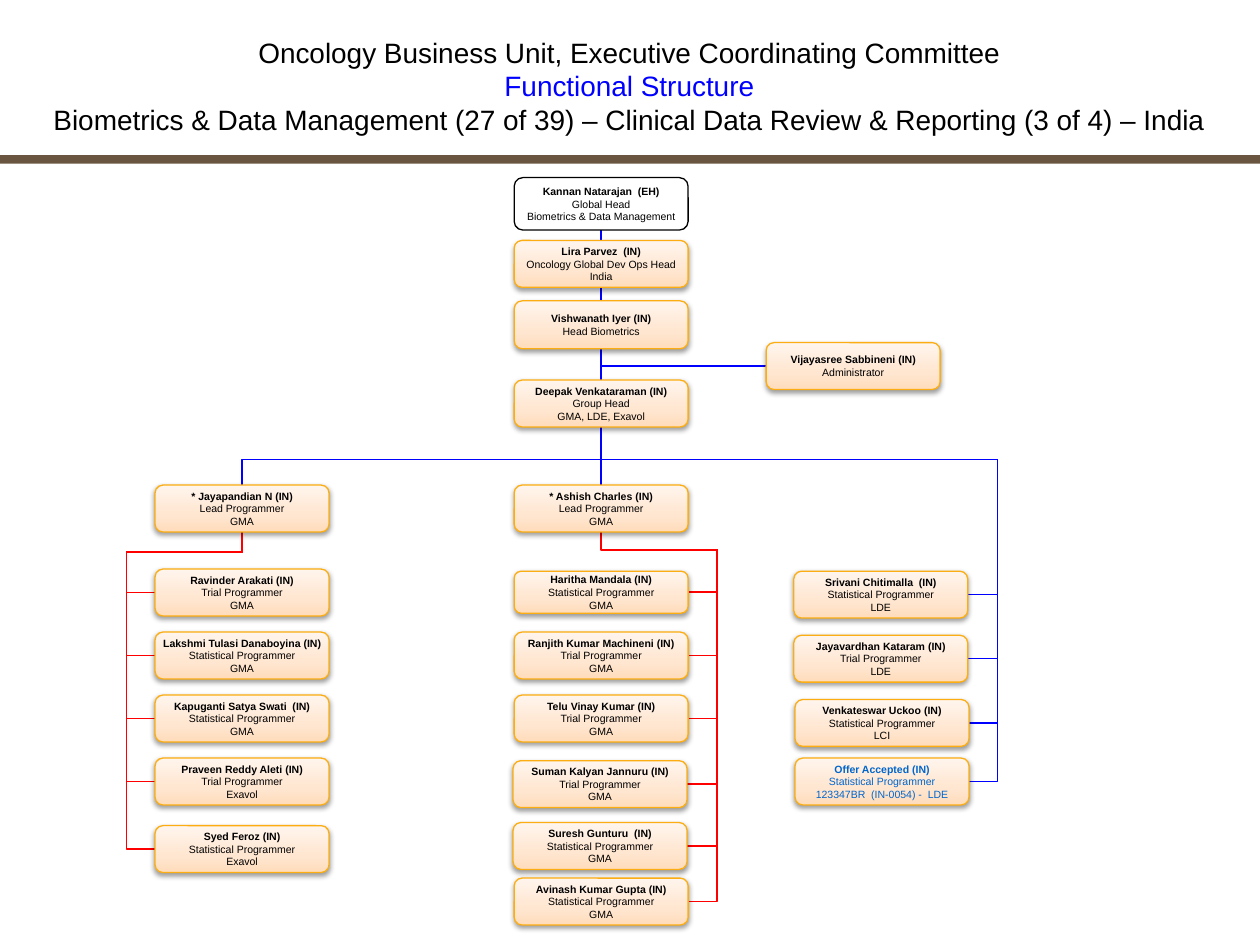
"""Build the India organisation chart slide for clinical data review and reporting."""
from lxml.etree import SubElement
from pptx import Presentation
from pptx.dml.color import RGBColor
from pptx.enum.shapes import MSO_CONNECTOR, MSO_SHAPE
from pptx.enum.text import MSO_ANCHOR, PP_ALIGN
from pptx.oxml.ns import qn
from pptx.util import Pt

TITLE = [
    ("Oncology Business Unit, Executive Coordinating Committee", "000000"),
    ("Functional Structure", "0000FF"),
    ("Biometrics & Data Management (27 of 39) – Clinical Data Review & Reporting (3 of 4) – India", "000000"),
]
LEFT, CENTRE, RIGHT, ASSISTANT = 88.6, 293.8, 454, 437.8
BOX_WIDTH, BOX_HEIGHT = 99.4, 26.8
BLUE, RED, BLACK, OFFER_BLUE = "0000FF", "FF0000", "000000", "0066CC"
GRADIENT = [(0, "FFDCBB"), (35, "FFE6D0"), (100, "FFF5ED")]

GLOBAL_HEAD = (CENTRE, 101.5, 30, ["Kannan Natarajan  (EH)", "Global Head", "Biometrics & Data Management"])
COUNTRY_HEAD = (CENTRE, 137.4, BOX_HEIGHT, ["Lira Parvez  (IN)", "Oncology Global Dev Ops Head", "India"])
BIOMETRICS_HEAD = (CENTRE, 171.9, 27.4, ["Vishwanath Iyer (IN)", "Head Biometrics"])
ADMINISTRATOR = (ASSISTANT, 195.8, BOX_HEIGHT, ["Vijayasree Sabbineni (IN)", "Administrator"])
GROUP_HEAD = (CENTRE, 217.2, BOX_HEIGHT, ["Deepak Venkataraman (IN)", "Group Head", "GMA, LDE, Exavol"])
LEFT_LEAD = (LEFT, 277.2, BOX_HEIGHT, ["* Jayapandian N (IN)", "Lead Programmer", "GMA"])
CENTRE_LEAD = (CENTRE, 277.2, BOX_HEIGHT, ["* Ashish Charles (IN)", "Lead Programmer", "GMA"])

LEFT_TEAM = [
    (LEFT, 325.2, BOX_HEIGHT, ["Ravinder Arakati (IN)", "Trial Programmer", "GMA"]),
    (LEFT, 361.2, BOX_HEIGHT, ["Lakshmi Tulasi Danaboyina (IN)", "Statistical Programmer", "GMA"]),
    (LEFT, 397.2, BOX_HEIGHT, ["Kapuganti Satya Swati  (IN)", "Statistical Programmer", "GMA"]),
    (LEFT, 433.2, BOX_HEIGHT, ["Praveen Reddy Aleti (IN)", "Trial Programmer", "Exavol"]),
    (LEFT, 471.8, BOX_HEIGHT, ["Syed Feroz (IN)", "Statistical Programmer", "Exavol"]),
]
CENTRE_TEAM = [
    (CENTRE, 326.4, 24, ["Haritha Mandala (IN)", "Statistical Programmer", "GMA"]),
    (CENTRE, 361.2, BOX_HEIGHT, ["Ranjith Kumar Machineni (IN)", "Trial Programmer", "GMA"]),
    (CENTRE, 397.2, BOX_HEIGHT, ["Telu Vinay Kumar (IN)", "Trial Programmer", "GMA"]),
    (CENTRE - 0.6, 434.7, BOX_HEIGHT, ["Suman Kalyan Jannuru (IN)", "Trial Programmer", "GMA"]),
    (CENTRE - 0.6, 470, BOX_HEIGHT, ["Suresh Gunturu  (IN)", "Statistical Programmer", "GMA"]),
    (CENTRE, 501.8, BOX_HEIGHT, ["Avinash Kumar Gupta (IN)", "Statistical Programmer", "GMA"]),
]
RIGHT_TEAM = [
    (RIGHT - 0.4, 326.4, BOX_HEIGHT, ["Srivani Chitimalla  (IN)", "Statistical Programmer", "LDE"]),
    (RIGHT - 0.4, 363, BOX_HEIGHT, ["Jayavardhan Kataram (IN)", "Trial Programmer", "LDE"]),
    (RIGHT + 0.3, 399.7, BOX_HEIGHT, ["Venkateswar Uckoo (IN)", "Statistical Programmer", "LCI"]),
    (RIGHT + 0.3, 433.2, BOX_HEIGHT, ["Offer Accepted (IN)", "Statistical Programmer", "123347BR  (IN-0054) -  LDE"]),
]
OFFER = RIGHT_TEAM[-1]
CHAIN = [GLOBAL_HEAD, COUNTRY_HEAD, BIOMETRICS_HEAD, GROUP_HEAD, CENTRE_LEAD]
PEOPLE = CHAIN + [ADMINISTRATOR, LEFT_LEAD] + LEFT_TEAM + CENTRE_TEAM + RIGHT_TEAM
TEAMS = [
    (LEFT_TEAM, LEFT_LEAD, 0, 72.2, 315.4, RED),
    (CENTRE_TEAM, CENTRE_LEAD, 1, 409.7, 314.2, RED),
    (RIGHT_TEAM, GROUP_HEAD, 1, 570, 262.6, BLUE),
]


def color(value):
    return RGBColor.from_string(value)


def anchor(box, across, down):
    left, top, height, _ = box
    return left + BOX_WIDTH * across, top + height * down


def add_line(slide, kind, start, end, line_color):
    connector = slide.shapes.add_connector(kind, *(Pt(value) for value in (*start, *end)))
    connector.line.color.rgb = color(line_color)
    connector.line.width = Pt(0.75)
    SubElement(connector._element.spPr, qn("a:effectLst"))
    return connector


def add_elbow(slide, start, end, bus_x, bus_y, line_color):
    connector = add_line(slide, MSO_CONNECTOR.ELBOW, start, end, line_color)
    geometry = connector._element.spPr.find(qn("a:prstGeom"))
    geometry.set("prst", "bentConnector4")
    guides = geometry.find(qn("a:avLst"))
    for number, (bus, first, last) in enumerate(zip((bus_x, bus_y), start, end), 1):
        share = round((bus - first) / (last - first) * 100000)
        SubElement(guides, qn("a:gd"), name=f"adj{number}", fmla=f"val {share}")


def add_gradient(shape):
    shape.fill.gradient()
    shape.fill.gradient_angle = 90
    stops = shape._element.spPr.find(qn("a:gradFill")).find(qn("a:gsLst"))
    for stop in list(stops):
        stops.remove(stop)
    for position, value in GRADIENT:
        stop = SubElement(stops, qn("a:gs"), pos=str(position * 1000))
        SubElement(stop, qn("a:srgbClr"), val=value)


def add_shadow(shape):
    effects = shape._element.spPr.find(qn("a:effectLst"))
    shadow = SubElement(effects, qn("a:outerShdw"), blurRad=str(Pt(3.1)), dist=str(Pt(1.6)),
                        dir="5400000", rotWithShape="0")
    tint = SubElement(shadow, qn("a:srgbClr"), val=BLACK)
    SubElement(tint, qn("a:alpha"), val="38000")


def write_lines(frame, lines, size):
    frame.vertical_anchor = MSO_ANCHOR.MIDDLE
    for index, (text, text_color, bold) in enumerate(lines):
        paragraph = frame.add_paragraph() if index else frame.paragraphs[0]
        paragraph.alignment = PP_ALIGN.CENTER
        run = paragraph.add_run()
        run.text = text
        run.font.name = "Arial"
        run.font.size = Pt(size)
        run.font.bold = bold
        run.font.color.rgb = color(text_color)


def add_person(slide, box):
    left, top, height, lines = box
    shape = slide.shapes.add_shape(MSO_SHAPE.ROUNDED_RECTANGLE, Pt(left), Pt(top), Pt(BOX_WIDTH), Pt(height))
    shape.shadow.inherit = False
    shape.line.width = Pt(0.75)
    if box is GLOBAL_HEAD:
        shape.fill.background()
        shape.line.color.rgb = color(BLACK)
    else:
        add_gradient(shape)
        add_shadow(shape)
        shape.line.color.rgb = color("FCAD11")
    frame = shape.text_frame
    frame.word_wrap = False
    frame.margin_left = frame.margin_right = Pt(2)
    frame.margin_top = frame.margin_bottom = Pt(1)
    text_color = OFFER_BLUE if box is OFFER else BLACK
    write_lines(frame, [(text, text_color, index == 0) for index, text in enumerate(lines)], 6)


def add_links(slide):
    for upper, lower in zip(CHAIN, CHAIN[1:]):
        add_line(slide, MSO_CONNECTOR.STRAIGHT, anchor(upper, 0.5, 1), anchor(lower, 0.5, 0), BLUE)
    head = anchor(BIOMETRICS_HEAD, 0.5, 1)
    add_elbow(slide, anchor(ADMINISTRATOR, 0, 0.5), head, *head, BLUE)
    lead = anchor(LEFT_LEAD, 0.5, 0)
    add_elbow(slide, lead, anchor(GROUP_HEAD, 0.5, 1), lead[0], 262.6, BLUE)
    for team, leader, side, bus_x, bus_y, line_color in TEAMS:
        for member in team:
            add_elbow(slide, anchor(member, side, 0.5), anchor(leader, 0.5, 1), bus_x, bus_y, line_color)


def main():
    presentation = Presentation()
    presentation.slide_width, presentation.slide_height = Pt(720), Pt(540)
    slide = presentation.slides.add_slide(presentation.slide_layouts[6])
    band = slide.shapes.add_shape(MSO_SHAPE.RECTANGLE, Pt(0), Pt(88.6), Pt(720), Pt(5))
    band.shadow.inherit = False
    band.fill.solid()
    band.fill.fore_color.rgb = color("6A5540")
    band.line.fill.background()
    add_links(slide)
    for box in PEOPLE:
        add_person(slide, box)
    title = slide.shapes.add_textbox(Pt(10.8), Pt(15.8), Pt(697.7), Pt(66.2))
    title.text_frame.word_wrap = True
    write_lines(title.text_frame, [(text, text_color, False) for text, text_color in TITLE], 16)
    presentation.save("out.pptx")


if __name__ == "__main__":
    main()
